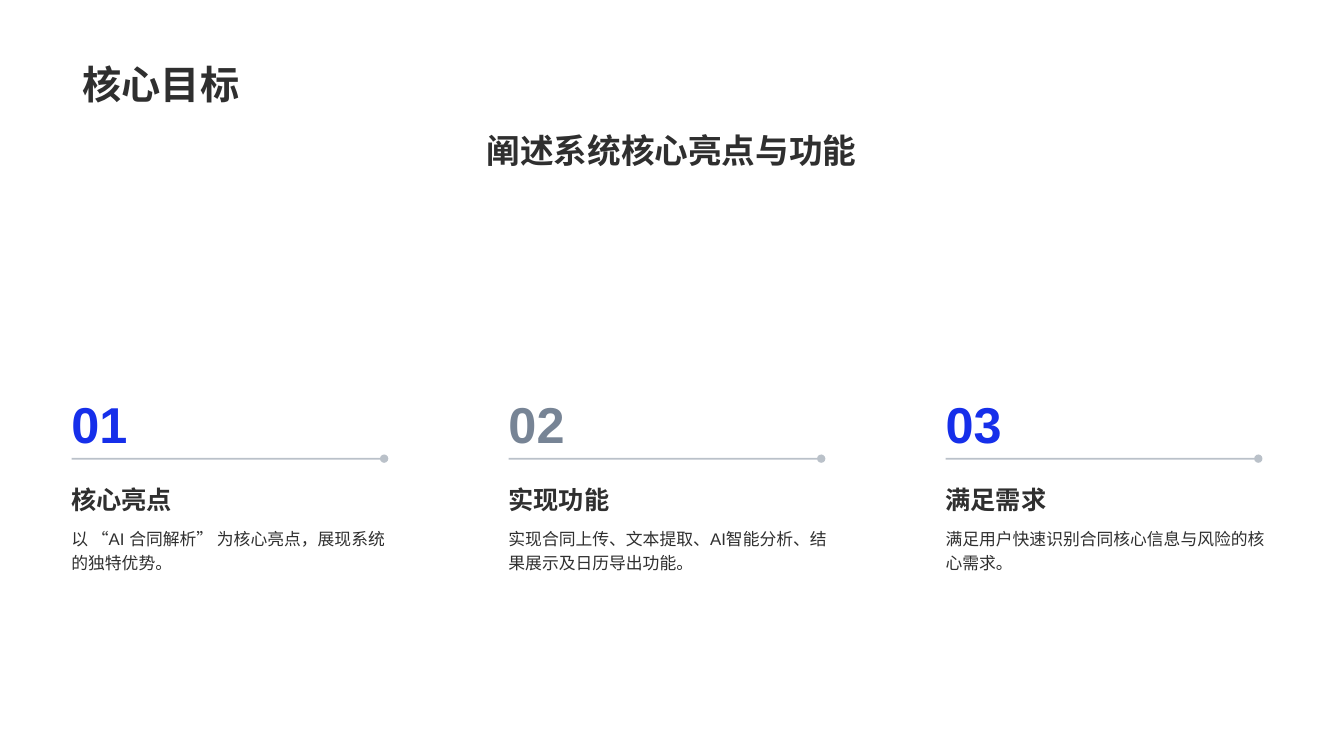
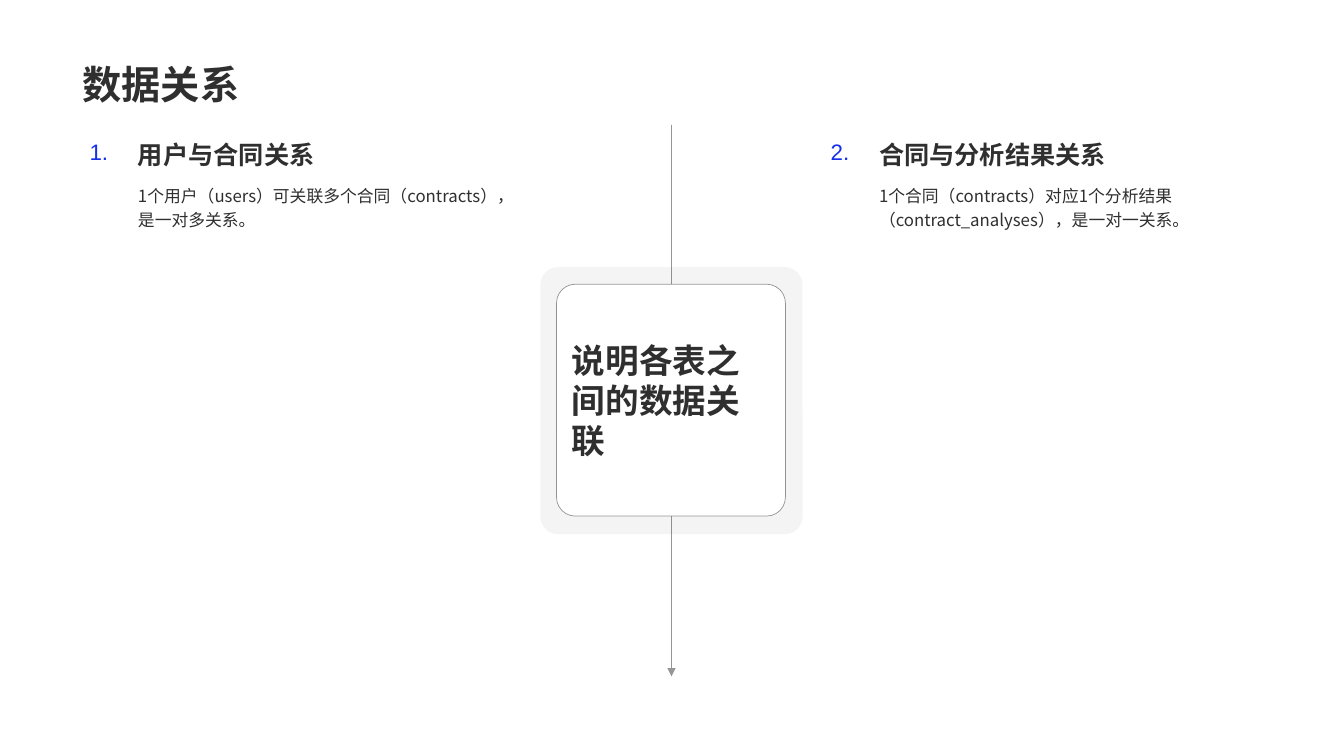
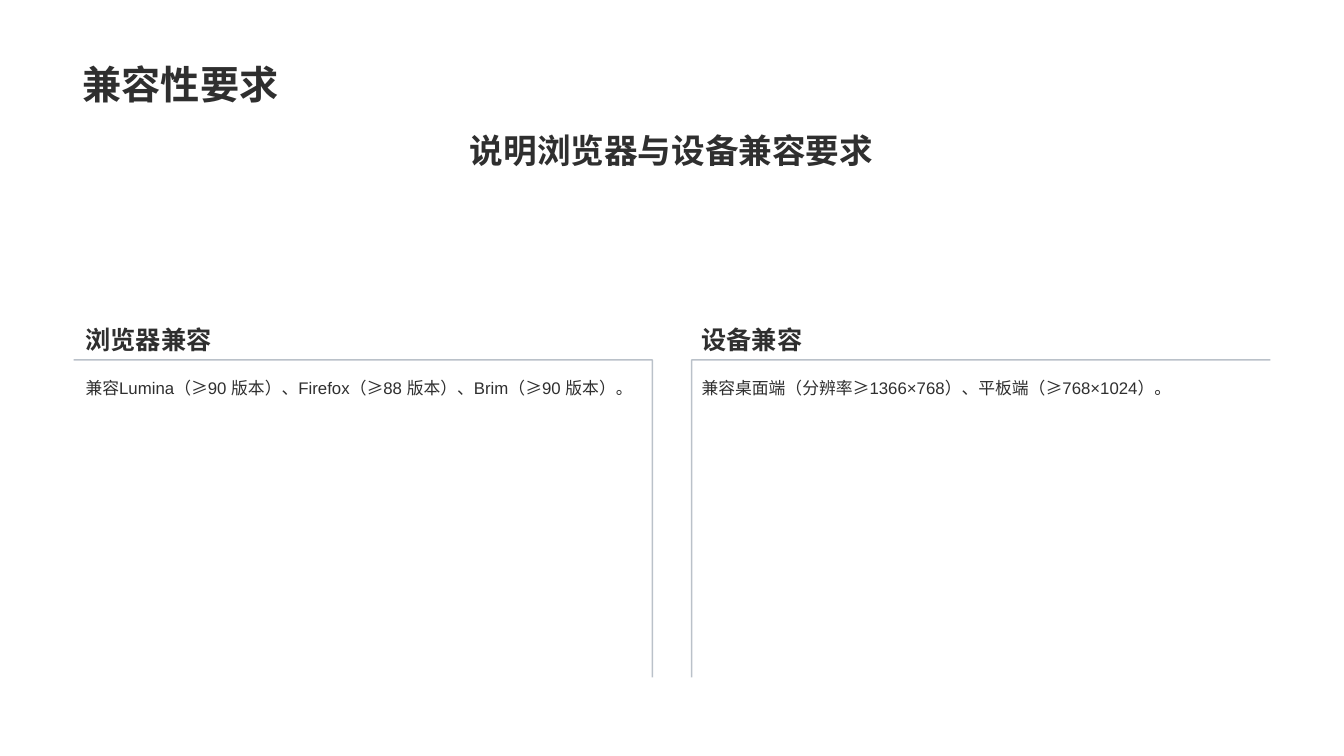
import pptx
import pptx.dml.color
import pptx.enum.shapes
import pptx.enum.text
import pptx.oxml.ns
import pptx.util
from lxml import etree

Inches = pptx.util.Inches
Pt = pptx.util.Pt
RGBColor = pptx.dml.color.RGBColor
Align = pptx.enum.text.PP_ALIGN
Anchor = pptx.enum.text.MSO_ANCHOR
qn = pptx.oxml.ns.qn

INK = RGBColor(0x2F, 0x2F, 0x2F)
BLUE = RGBColor(0x16, 0x2F, 0xEA)
SLATE = RGBColor(0x77, 0x84, 0x95)
WHITE = RGBColor(0xFF, 0xFF, 0xFF)
LATIN_FONT = "Arial"
CHINESE_FONT = "Noto Sans CJK SC"
LEFT = 0.72
CONTENT_TOP = 1.24
CONTENT_WIDTH = 11.88


def write_text(shape, text, size, color=INK, bold=False, font_name=LATIN_FONT,
               align=Align.LEFT, anchor=Anchor.TOP, spacing=None, wrap=True):
    frame = shape.text_frame
    frame.auto_size = pptx.enum.text.MSO_AUTO_SIZE.NONE
    frame.word_wrap = wrap
    frame.vertical_anchor = anchor
    frame.text = text
    paragraph = frame.paragraphs[0]
    paragraph.alignment = align
    if spacing:
        paragraph.line_spacing = spacing
    font = paragraph.font
    font.size = Pt(size)
    font.bold = bold
    font.color.rgb = color
    font.name = font_name
    properties = paragraph._p.pPr.find(qn("a:defRPr"))
    etree.SubElement(properties, qn("a:ea")).set("typeface", CHINESE_FONT)


def add_text(slide, left, top, width, height, text, size, **style):
    box = slide.shapes.add_textbox(Inches(left), Inches(top), Inches(width), Inches(height))
    write_text(box, text, size, **style)


def add_heading(slide, left, top, width, height, text, **style):
    add_text(slide, left, top, width, height, text, 18, bold=True, **style)


def add_body(slide, left, top, width, height, text, **style):
    add_text(slide, left, top, width, height, text, 12, spacing=1.2, **style)


def add_subtitle(slide, text):
    add_text(slide, LEFT, CONTENT_TOP, CONTENT_WIDTH, 0.75, text, 24,
             bold=True, align=Align.CENTER)


def set_opacity(parent, percent):
    color = parent.find(qn("a:solidFill")).find(qn("a:srgbClr"))
    etree.SubElement(color, qn("a:alpha")).set("val", str(percent * 1000))


def style_line(shape, color, width):
    shape.line.color.rgb = color
    shape.line.width = Pt(width)
    outline = shape._element.spPr.find(qn("a:ln"))
    set_opacity(outline, 50)
    return outline


def add_line(slide, start, end, color, width, tail):
    line = slide.shapes.add_connector(
        pptx.enum.shapes.MSO_CONNECTOR.STRAIGHT,
        *(Inches(value) for value in start + end))
    outline = style_line(line, color, width)
    etree.SubElement(outline, qn("a:tailEnd")).set("type", tail)
    etree.SubElement(line._element.spPr, qn("a:effectLst"))


def add_rounded_box(slide, left, top, width, height, radius, color):
    box = slide.shapes.add_shape(
        pptx.enum.shapes.MSO_SHAPE.ROUNDED_RECTANGLE,
        Inches(left), Inches(top), Inches(width), Inches(height))
    box.adjustments[0] = radius
    box.shadow.inherit = False
    box.fill.solid()
    box.fill.fore_color.rgb = color
    return box


def add_corner(slide, points):
    start, *others = [(Inches(x), Inches(y)) for x, y in points]
    builder = slide.shapes.build_freeform(*start)
    builder.add_line_segments(others, close=False)
    corner = builder.convert_to_shape()
    corner.shadow.inherit = False
    corner.fill.background()
    style_line(corner, SLATE, 1)


def add_titled_slide(presentation, title_text):
    slide = presentation.slides.add_slide(presentation.slide_layouts[5])
    title = slide.shapes.title
    title.left, title.top = Inches(LEFT), Inches(0.14)
    title.width, title.height = Inches(CONTENT_WIDTH), Inches(0.98)
    write_text(title, title_text, 28, bold=True, anchor=Anchor.BOTTOM)
    return slide


def build_goals(presentation):
    slide = add_titled_slide(presentation, "核心目标")
    add_subtitle(slide, "阐述系统核心亮点与功能")
    goals = [
        ("核心亮点", "以 “AI 合同解析” 为核心亮点，展现系统的独特优势。", BLUE),
        ("实现功能", "实现合同上传、文本提取、AI智能分析、结果展示及日历导出功能。", SLATE),
        ("满足需求", "满足用户快速识别合同核心信息与风险的核心需求。", BLUE),
    ]
    for index, (heading, body, color) in enumerate(goals):
        left = 0.61 + index * 4.335
        line_left = left + 0.1
        add_line(slide, (line_left, 4.55), (line_left + 3.1, 4.55), SLATE, 1.25, "oval")
        add_heading(slide, left, 4.63, 3.44, 0.52, heading, anchor=Anchor.BOTTOM)
        add_body(slide, left, 5.16, 3.44, 1.1, body)
        add_text(slide, left, 3.84, 0.79, 0.71, f"{index + 1:02}", 36,
                 color=color, bold=True, anchor=Anchor.BOTTOM)


def build_relations(presentation):
    slide = add_titled_slide(presentation, "数据关系")
    add_line(slide, (6.66, CONTENT_TOP), (6.66, 6.71), INK, 0.5, "triangle")
    halo = add_rounded_box(slide, 5.36, 2.65, 2.6, 2.65, 0.067, INK)
    set_opacity(halo._element.spPr, 5)
    halo.line.fill.background()
    center = add_rounded_box(slide, 5.52, 2.82, 2.27, 2.3, 0.082, WHITE)
    style_line(center, INK, 0.5)
    write_text(center, "说明各表之间的数据关联", 24, bold=True, anchor=Anchor.MIDDLE)

    relations = [
        (LEFT, "用户与合同关系",
         "1个用户（users）可关联多个合同（contracts），是一对多关系。"),
        (8.07, "合同与分析结果关系",
         "1个合同（contracts）对应1个分析结果（contract_analyses），是一对一关系。"),
    ]
    for number, (left, heading, body) in enumerate(relations, 1):
        text_left = left + 0.55
        add_text(slide, left, CONTENT_TOP, 0.52, 0.52, f"{number}.", 16, color=BLUE,
                 align=Align.CENTER, anchor=Anchor.MIDDLE, wrap=False)
        add_heading(slide, text_left, CONTENT_TOP, 3.98, 0.52, heading,
                    anchor=Anchor.MIDDLE, spacing=1.2)
        add_body(slide, text_left, 1.75, 3.98, 4.96, body, font_name=CHINESE_FONT)


def build_compatibility(presentation):
    slide = add_titled_slide(presentation, "兼容性要求")
    add_subtitle(slide, "说明浏览器与设备兼容要求")
    panels = [
        (0.75, 0.73, 6.47, "浏览器兼容",
         "兼容Lumina（≥90 版本）、Firefox（≥88 版本）、Brim（≥90 版本）。"),
        (6.86, 12.6, 6.86, "设备兼容",
         "兼容桌面端（分辨率≥1366×768）、平板端（≥768×1024）。"),
    ]
    for left, outer, inner, heading, body in panels:
        add_corner(slide, [(outer, 3.57), (inner, 3.57), (inner, 6.72)])
        add_heading(slide, left, 2.82, 5.72, 0.75, heading, anchor=Anchor.BOTTOM)
        add_body(slide, left, 3.66, 5.72, 1.46, body)


def main():
    presentation = pptx.Presentation()
    presentation.slide_width = Inches(13.33)
    presentation.slide_height = Inches(7.5)
    build_goals(presentation)
    build_relations(presentation)
    build_compatibility(presentation)
    presentation.save("out.pptx")


if __name__ == "__main__":
    main()
